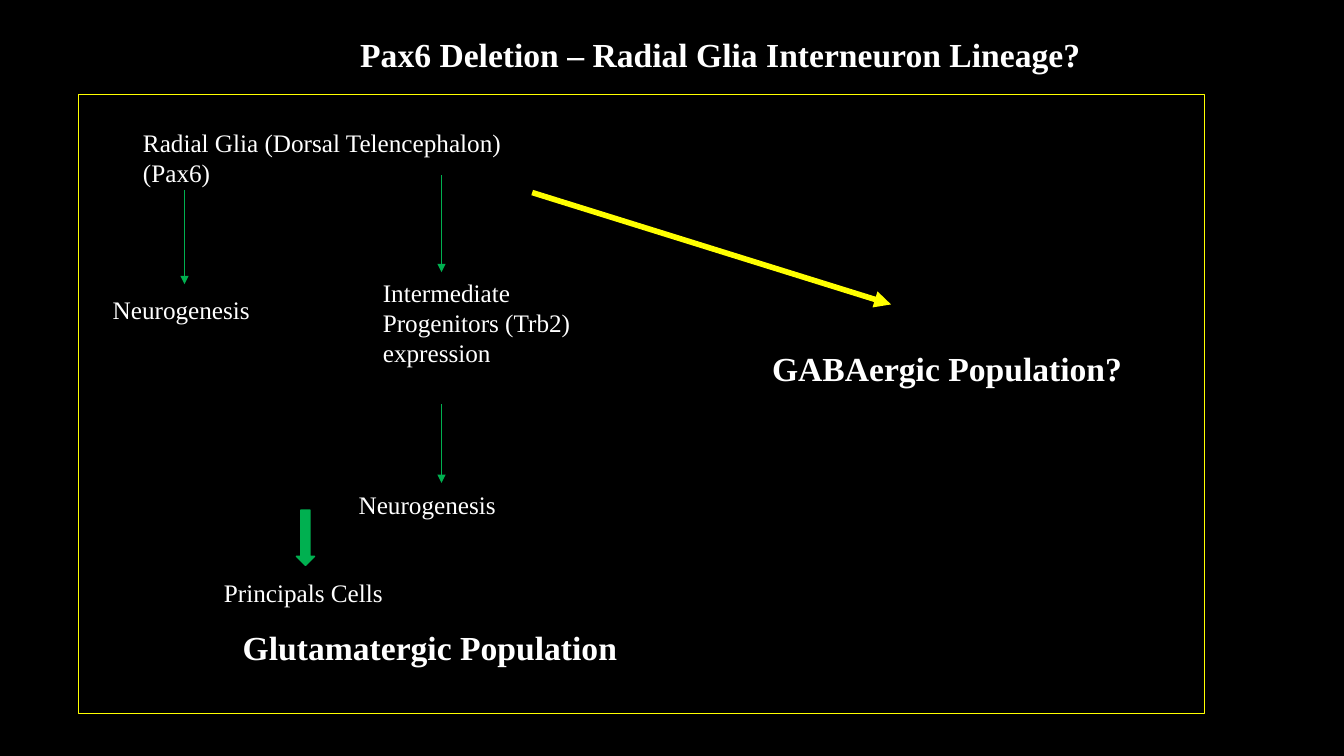
from lxml import etree
from pptx import Presentation
from pptx import util as u
from pptx.dml.color import RGBColor
from pptx.enum import shapes, text
from pptx.oxml.ns import qn

BLACK, WHITE, GREEN, YELLOW = "000000", "FFFFFF", "00B050", "FFFF00"
SLIDE_SIZE = (13.33, 7.5)  # inches

# All places are percentages of the slide's width and height.
HEADING = {"size": u.Pt(24), "bold": True}
LABEL = {"size": u.Pt(18), "bold": False}
LEFT, CENTER = text.PP_ALIGN.LEFT, text.PP_ALIGN.CENTER
INTERMEDIATE_X = 32.85

TEXTS = [
    ("Pax6 Deletion – Radial Glia Interneuron Lineage?",
     (25.95, 3.87, 55.28, 6.67), HEADING, CENTER),
    ("Radial Glia (Dorsal Telencephalon) (Pax6)",
     (9.9, 16.13, 30, 13.07), LABEL, LEFT),
    ("Neurogenesis", (7.65, 38.27, 20.1, 5.2), LABEL, LEFT),
    ("Intermediate Progenitors (Trb2) expression",
     (27.75, 36, 15.6, 17.07), LABEL, LEFT),
    ("Neurogenesis", (25.95, 64, 17.78, 5.2), LABEL, LEFT),
    ("Principals Cells", (9.15, 75.73, 26.85, 9.2), LABEL, CENTER),
    ("GABAergic Population?", (46.13, 45.33, 48.68, 6.67), HEADING, CENTER),
    ("Glutamatergic Population", (7.65, 82.27, 48.68, 6.67), HEADING, CENTER),
]
ARROWS = [  # from, to, colour, points
    ((13.73, 25.2), (13.73, 37.6), GREEN, 0.5),
    ((INTERMEDIATE_X, 23.2), (INTERMEDIATE_X, 36), GREEN, 0.5),
    ((INTERMEDIATE_X, 53.47), (INTERMEDIATE_X, 63.87), GREEN, 0.5),
    ((39.6, 25.47), (66.3, 40.27), YELLOW, 4),
]
SHAPES = [  # preset, place, fill, line
    (shapes.MSO_SHAPE.DOWN_ARROW, (22.05, 67.47, 1.35, 7.33), GREEN, GREEN),
    (shapes.MSO_SHAPE.RECTANGLE, (5.85, 12.53, 83.78, 81.87), None, YELLOW),
]


def color(value):
    return RGBColor.from_string(value)


def place(shares):
    """Turn alternating width and height percentages into lengths."""
    return [u.Inches(share / 100 * SLIDE_SIZE[i % 2])
            for i, share in enumerate(shares)]


def set_all(target, values):
    for name, value in values.items():
        setattr(target, name, value)


def add_text(page, words, shares, style, alignment):
    frame = page.shapes.add_textbox(*place(shares)).text_frame
    set_all(frame, {"word_wrap": True,
                    "auto_size": text.MSO_AUTO_SIZE.SHAPE_TO_FIT_TEXT})
    para = frame.paragraphs[0]
    para.alignment = alignment
    span = para.add_run()
    span.text = words
    set_all(span.font, {"name": "Times New Roman", **style})
    span.font.color.rgb = color(WHITE)


def add_arrow(page, start, end, hue, points):
    arrow = page.shapes.add_connector(
        shapes.MSO_CONNECTOR.STRAIGHT, *place(start + end))
    arrow.line.width = u.Pt(points)
    arrow.line.color.rgb = color(hue)
    outline = arrow.line._get_or_add_ln()
    etree.SubElement(outline, qn("a:tailEnd"), type="triangle")
    etree.SubElement(arrow._element.spPr, qn("a:effectLst"))


def add_shape(page, preset, shares, fill, line):
    shape = page.shapes.add_shape(preset, *place(shares))
    shape.shadow.inherit = False
    if fill:
        shape.fill.solid()
        shape.fill.fore_color.rgb = color(fill)
    else:
        shape.fill.background()
    shape.line.color.rgb = color(line)
    shape.line.width = u.Pt(1)


def main():
    deck = Presentation()
    deck.slide_width, deck.slide_height = map(u.Inches, SLIDE_SIZE)
    page = deck.slides.add_slide(deck.slide_layouts[6])
    page.background.fill.solid()
    page.background.fill.fore_color.rgb = color(BLACK)
    for add, items in ((add_text, TEXTS), (add_arrow, ARROWS),
                       (add_shape, SHAPES)):
        for item in items:
            add(page, *item)
    deck.save("out.pptx")


if __name__ == "__main__":
    main()
